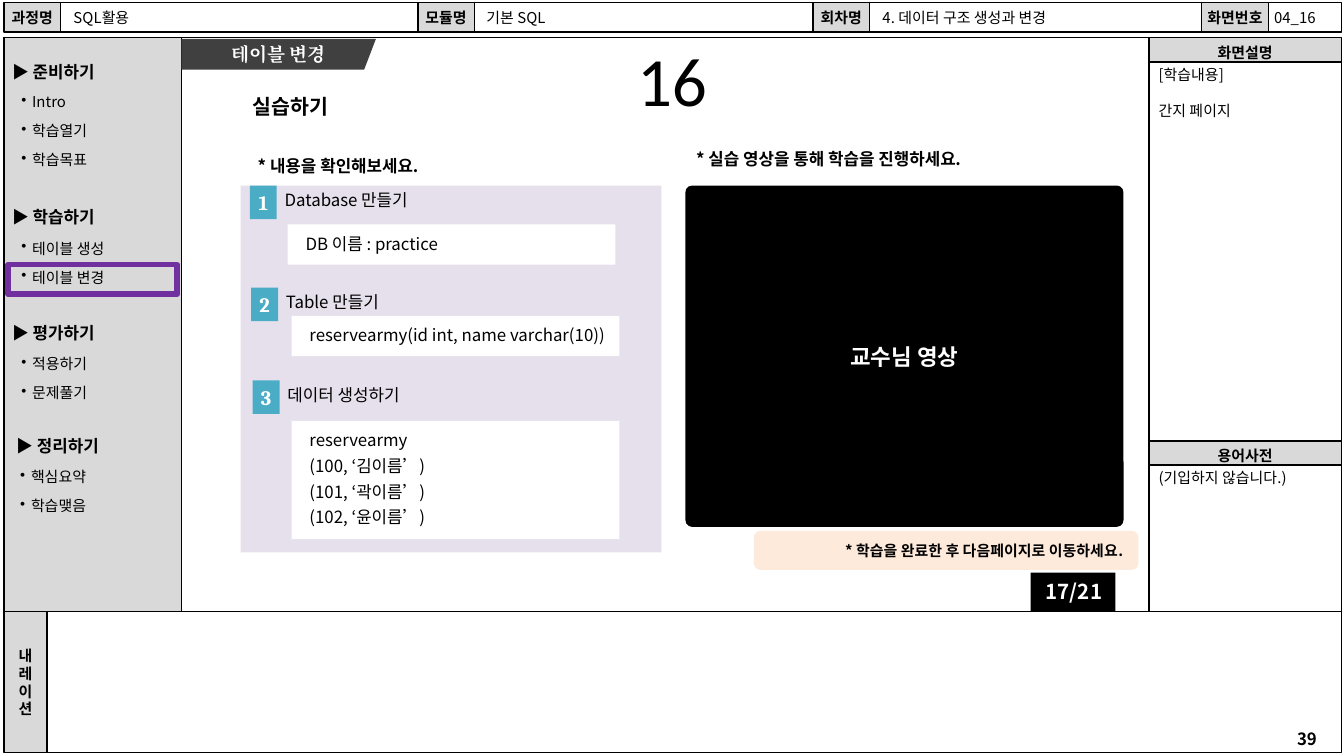
from lxml import etree
from pptx import Presentation
from pptx.dml.color import RGBColor
from pptx.enum import shapes, text
from pptx.oxml import ns
from pptx.util import Pt

COLORS = {"black": "000000", "white": "FFFFFF", "gray": "D9D9D9", "dark": "404040",
          "lilac": "E6E0EC", "teal": "4BACC6", "peach": "FDEADA", "purple": "7030A0"}
RECT, ROUND = shapes.MSO_SHAPE.RECTANGLE, shapes.MSO_SHAPE.ROUNDED_RECTANGLE
LEFT, CENTER, RIGHT = text.PP_ALIGN.LEFT, text.PP_ALIGN.CENTER, text.PP_ALIGN.RIGHT
TOP, MIDDLE = text.MSO_ANCHOR.TOP, text.MSO_ANCHOR.MIDDLE
KOREAN = "Noto Sans CJK KR"


def write(holder, lines, size=8, bold=False, color="black", face=KOREAN, align=LEFT,
          anchor=TOP, wrap=True, insets=(7.2, 3.6, 7.2, 3.6), bullet=False, **spacing):
    frame = holder.text_frame
    margins = dict(zip(("margin_left", "margin_top", "margin_right", "margin_bottom"),
                       map(Pt, insets)))
    for key, value in {"word_wrap": wrap, "vertical_anchor": anchor,
                       "auto_size": text.MSO_AUTO_SIZE.NONE, **margins}.items():
        setattr(frame, key, value)
    for i, line in enumerate(lines):
        paragraph = frame.add_paragraph() if i else frame.paragraphs[0]
        if bullet:
            props = paragraph._p.get_or_add_pPr()
            props.set("marL", str(Pt(5.8)))
            props.set("indent", str(-Pt(5.8)))
            etree.SubElement(props, ns.qn("a:buChar")).set("char", "•")
        paragraph.alignment = align
        for key, value in spacing.items():
            if i or key != "space_before":
                setattr(paragraph, key, value)
        run = paragraph.add_run()
        run.text = line
        for key, value in {"size": Pt(size), "bold": bold, "name": face}.items():
            setattr(run.font, key, value)
        run.font.color.rgb = RGBColor.from_string(COLORS[color])
        etree.SubElement(run._r.get_or_add_rPr(), ns.qn("a:ea")).set("typeface", face)


def block(box, fill=None, line=None, weight=0.75, kind=RECT):
    shape = slide.shapes.add_shape(kind, *map(Pt, box))
    shape.shadow.inherit = False
    for paint, color in ((shape.fill, fill), (shape.line.fill, line)):
        if color:
            paint.solid()
            paint.fore_color.rgb = RGBColor.from_string(COLORS[color])
        else:
            paint.background()
    if line:
        shape.line.width = Pt(weight)
    return shape


deck = Presentation()
deck.slide_width, deck.slide_height = Pt(720), Pt(405)
slide = deck.slides.add_slide(deck.slide_layouts[5])
label = {"bold": True, "align": CENTER, "anchor": MIDDLE, "wrap": False}

# Storyboard frame
block((2.2, 20.2, 613.4, 307.4), "white", "black")
block((2.2, 20.2, 95, 313.2), "gray", "black")
block((615.6, 23, 103, 309.6), "white", "black")
for top, heading in ((236.2, "용어사전"), (20.2, "화면설명")):
    write(block((615.6, top, 103, 13), "gray", "black"), [heading], line_spacing=1.3, **label)
block((17.3, 327.6, 701.3, 75.6), "white", "black")
write(block((2.2, 327.6, 23, 75.6), "gray", "black"), "내레이션", **label)

# Header row: each label is followed by its value
header = [(2.2, 30.2, "과정명", 191.5, "SQL활용", 7),
          (223.9, 30.2, "모듈명", 181.7, "기본 SQL", 6.5),
          (435.6, 30.2, "회차명", 177.9, "4. 데이터 구조 생성과 변경", 7),
          (643.7, 36, "화면번호", 38.9, "04_16", 2.9)]
for left, width, name, value_width, value, inset in header:
    write(block((left, 1.4, width, 15.8), "gray", "black"), [name], **label)
    write(block((left + width, 1.4, value_width, 15.8), "white", "black"), [value],
          anchor=MIDDLE, insets=(inset, 0, 0, 0))

# Sidebar menu
menu = [(0, 29.5, "▶ 준비하기", 49.7, ["Intro", "학습열기", "학습목표"]),
        (0, 107.3, "▶ 학습하기", 128.2, ["테이블 생성", "테이블 변경"]),
        (0, 169.2, "▶ 평가하기", 190.1, ["적용하기", "문제풀기"]),
        (2.2, 229.7, "▶ 정리하기", 250.6, ["핵심요약", "학습맺음"])]
for left, top, heading, items_top, items in menu:
    section = slide.shapes.add_textbox(Pt(left), Pt(top), Pt(82), Pt(18))
    write(section, [heading], size=9, bold=True, insets=(6.5, 3.6, 0, 3.6))
    entries = slide.shapes.add_textbox(Pt(4.3), Pt(items_top), Pt(92.9),
                                       Pt(15.6 * len(items) - 6))
    write(entries, items, bullet=True, space_before=Pt(6),
          insets=(6.5 if left else 7.2, 0, 0, 0))
block((4.3, 141.8, 90.7, 15.8), line="purple", weight=3)

# Description and glossary
for top, height, lines in ((32.4, 204.5, ["[학습내용]", "간지 페이지"]),
                           (248.4, 79.9, ["(기입하지 않습니다.)"])):
    note = slide.shapes.add_textbox(Pt(614.2), Pt(top), Pt(105.8), Pt(height))
    write(note, lines, insets=(6.5, 2.9, 6.5, 2.9), space_before=Pt(9.4))

# Section tab
outline = slide.shapes.build_freeform(Pt(97.2), Pt(20.9), scale=1.0)
outline.add_line_segments([(Pt(x), Pt(y)) for x, y in
                           ((201.4, 20.9), (195.1, 37.4), (97.2, 37.4))], close=True)
tab = outline.convert_to_shape()
tab.shadow.inherit = False
tab.fill.solid()
tab.fill.fore_color.rgb = RGBColor.from_string(COLORS["dark"])
tab.line.fill.background()
write(tab, ["테이블 변경"], size=10, bold=True, color="white", face="Cambria",
      align=CENTER, anchor=MIDDLE)

# Lecture video, progress and closing note
video = block((367.2, 99.4, 234.7, 182.9), "black", kind=ROUND)
video.adjustments[0] = 0.02
write(video, ["교수님 영상"], size=12, bold=True, color="white", align=CENTER, anchor=MIDDLE)
write(block((552.2, 306.7, 45.4, 20.9), "black"), ["17/21"], size=11, bold=True,
      color="white", align=RIGHT, wrap=False)
write(block((403.9, 284.4, 205.9, 20.9), "peach", kind=ROUND),
      ["* 학습을 완료한 후 다음페이지로 이동하세요."], bold=True, align=RIGHT, anchor=MIDDLE)

# Practice headings and page number
block((128.9, 99.4, 225.4, 196.6), "lilac")
headings = [((125.3, 45.4, 184.3, 23), "실습하기", 11, (10.1, 5, 10.1, 5), LEFT),
            ((365.8, 76.3, 234.7, 18), "* 실습 영상을 통해 학습을 진행하세요.", 9,
             (7.2, 3.6, 7.2, 3.6), LEFT),
            ((131, 79.9, 234.7, 18), "* 내용을 확인해보세요.", 9, (7.2, 3.6, 7.2, 3.6), LEFT),
            ((683.3, 386.6, 33.8, 18), "39", 9, (7.2, 3.6, 7.2, 3.6), CENTER)]
for box, words, size, insets, align in headings:
    write(slide.shapes.add_textbox(*map(Pt, box)), [words], size=size, bold=True,
          insets=insets, align=align)

# Practice steps: number, heading, card
steps = [(133.9, 99.4, "Database 만들기", 154.1, 120.2, 21.6, ["DB 이름 : practice"]),
         (134.6, 154.1, "Table 만들기", 156.2, 169.2, 21.6,
          ["reservearmy(id int, name varchar(10))"]),
         (135.4, 203.8, "데이터 생성하기", 156.2, 225.4, 63.4,
          ["reservearmy", "(100, ‘김이름’)", "(101, ‘곽이름’)", "(102, ‘윤이름’)"])]
for number, (left, top, heading, card_left, card_top, height, lines) in enumerate(steps, 1):
    write(slide.shapes.add_textbox(Pt(left + 11.5), Pt(top - 1.5), Pt(211.7), Pt(18)),
          [heading], size=9)
    write(block((left, top, 14.4, 18), "teal"), [str(number)], size=11, color="white",
          face="Cambria", **label)
    block((card_left, card_top, 175.7, height), "white")
    code = slide.shapes.add_textbox(Pt(card_left + 2.5), Pt(card_top + 1.2),
                                    Pt(173.5), Pt(height - 3.6))
    write(code, lines, size=9, space_after=Pt(3))

# Title, brought in front of the frame
title = slide.shapes.title
for key, value in {"left": 36, "top": 16.6, "width": 648, "height": 67.7}.items():
    setattr(title, key, Pt(value))
write(title, ["16"], size=37, face="Calibri", align=CENTER)
slide.shapes._spTree.append(title._element)

deck.save("out.pptx")
